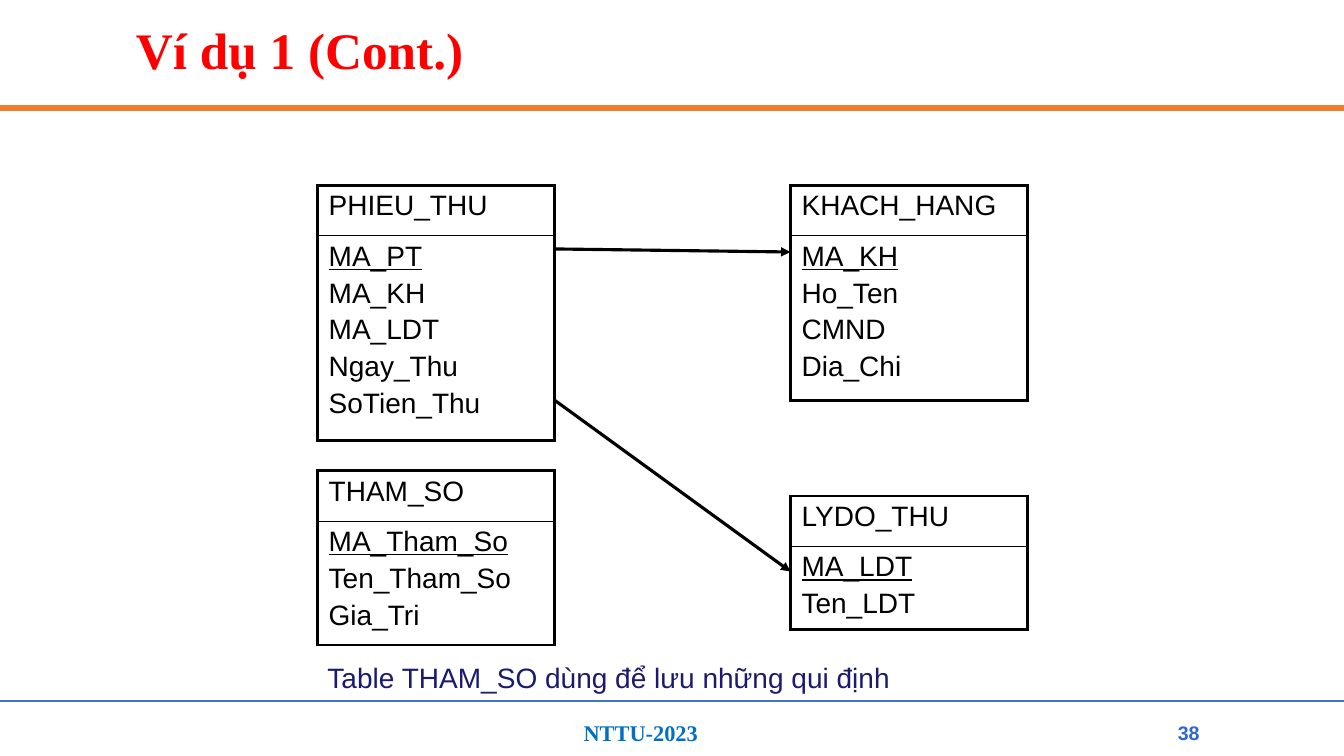
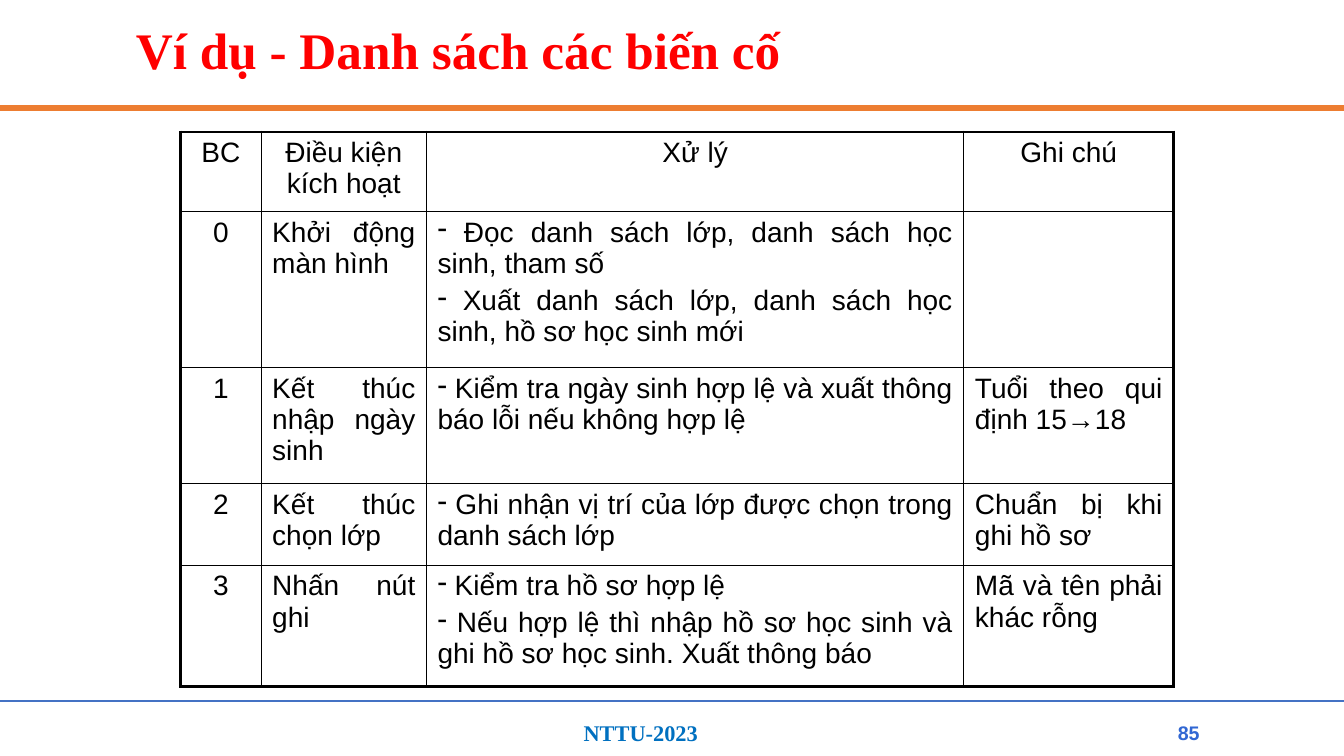
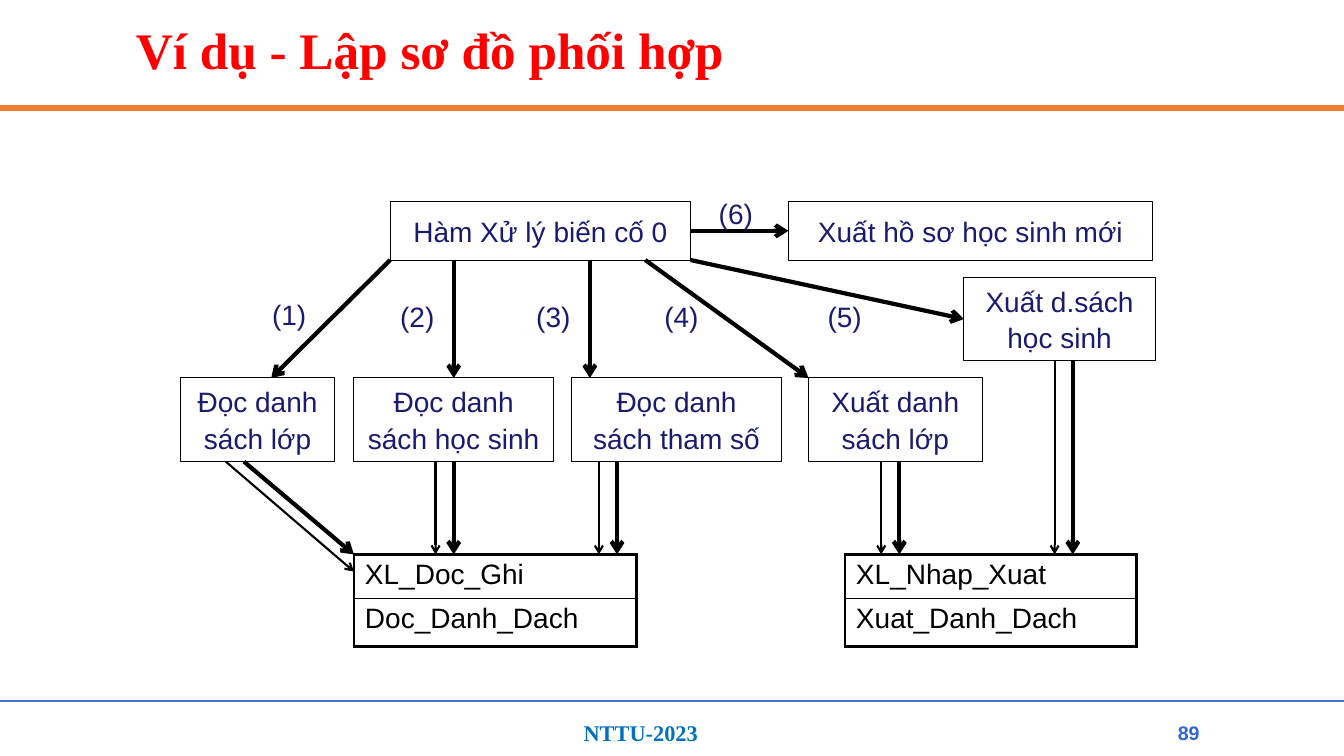
from lxml import etree
from pptx import Presentation
from pptx.dml.color import RGBColor
from pptx.enum.shapes import MSO_CONNECTOR, MSO_SHAPE
from pptx.enum.text import MSO_ANCHOR, PP_ALIGN
from pptx.oxml.ns import qn
from pptx.util import Inches, Pt

LEFT, CENTER, JUSTIFY = PP_ALIGN.LEFT, PP_ALIGN.CENTER, PP_ALIGN.JUSTIFY
TOP, MIDDLE = MSO_ANCHOR.TOP, MSO_ANCHOR.MIDDLE
STRAIGHT, RECT = MSO_CONNECTOR.STRAIGHT, MSO_SHAPE.RECTANGLE
SITE_TOP, SITE_LEFT, SITE_BOTTOM, SITE_RIGHT = range(4)

COLORS = {
    "black": "000000",
    "navy": "1A1A70",
    "title": "FF0000",
    "header": "ED7D31",
    "rule": "4472C4",
    "footer": "0070C0",
    "number": "3167D3",
}
SANS, SERIF = "Arial", "Times New Roman"
WIDTH, HEIGHT = 13.33, 7.5
OUTER, INNER = 2.25, 1
HEAVY, LIGHT = 3, 1.5
PAIR_GAP = 0.18


def rgb(name):
    return RGBColor.from_string(COLORS[name])


# Text
def write(tf, text, size=20, font=SANS, color="black", bold=False, align=LEFT,
          before=0, spacing=None, bullet=None, underline_first=False):
    """Fill a text frame, one paragraph for each line of text."""
    for i, line in enumerate(text.split("\n")):
        p = tf.paragraphs[0] if i == 0 else tf.add_paragraph()
        p.alignment = align
        if i:
            p.space_before = Pt(before)
        if spacing:
            p.line_spacing = spacing
        if bullet:
            pPr = p._p.get_or_add_pPr()
            etree.SubElement(pPr, qn("a:buChar")).set("char", bullet)
            line = " " + line
        r = p.add_run()
        r.text = line
        r.font.size, r.font.name, r.font.bold = Pt(size), font, bold
        r.font.color.rgb = rgb(color)
        r.font.underline = underline_first and i == 0


def add_text(slide, x, y, w, h, text, anchor=TOP, **fmt):
    tf = slide.shapes.add_textbox(Inches(x), Inches(y), Inches(w), Inches(h)).text_frame
    tf.word_wrap = True
    tf.vertical_anchor = anchor
    write(tf, text, **fmt)


# Lines and boxes
def add_line(slide, x1, y1, x2, y2, width, color="black", head=None, begin=None, end=None):
    """Draw a line; begin and end are optional (shape, site) joints."""
    c = slide.shapes.add_connector(STRAIGHT, Inches(x1), Inches(y1), Inches(x2), Inches(y2))
    if begin:
        c.begin_connect(*begin)
    if end:
        c.end_connect(*end)
    c.line.color.rgb = rgb(color)
    c.line.width = Pt(width)
    spPr = c._element.spPr
    if head:
        etree.SubElement(spPr.find(qn("a:ln")), qn("a:tailEnd")).set("type", head)
    etree.SubElement(spPr, qn("a:effectLst"))


def add_box(slide, x, y, w, h, text):
    sp = slide.shapes.add_shape(RECT, Inches(x), Inches(y), Inches(w), Inches(h))
    sp.shadow.inherit = False
    sp.fill.background()
    sp.line.color.rgb = rgb("black")
    sp.line.width = Pt(0.75)
    tf = sp.text_frame
    tf.word_wrap = False
    tf.vertical_anchor = MIDDLE
    write(tf, text, color="navy", align=CENTER, before=2)
    return sp


# Tables
def set_borders(cell, widths):
    tcPr = cell._tc.get_or_add_tcPr()
    for side, width in zip("LRTB", widths):
        ln = etree.SubElement(tcPr, qn("a:ln" + side))
        ln.set("w", str(Pt(width)))
        fill = etree.SubElement(ln, qn("a:solidFill"))
        etree.SubElement(fill, qn("a:srgbClr")).set("val", COLORS["black"])


def add_grid(slide, x, y, cols, rows, texts, cell_format):
    """Add a table with a thick frame; cell_format(row, col) gives text options."""
    frame = slide.shapes.add_table(len(rows), len(cols), Inches(x), Inches(y),
                                   Inches(sum(cols)), Inches(sum(rows)))
    table = frame.table
    table.first_row = table.horz_banding = False
    for column, w in zip(table.columns, cols):
        column.width = Inches(w)
    last_row, last_col = len(rows) - 1, len(cols) - 1
    for i, h in enumerate(rows):
        table.rows[i].height = Inches(h)
        for j, text in enumerate(texts[i]):
            cell = table.cell(i, j)
            cell.margin_left = cell.margin_right = Inches(0.11)
            cell.margin_top = cell.margin_bottom = Inches(0.05)
            at_edge = (j == 0, j == last_col, i == 0, i == last_row)
            set_borders(cell, [OUTER if edge else INNER for edge in at_edge])
            cell.fill.background()
            if text:
                write(cell.text_frame, text, before=4, **cell_format(i, j))


def add_entity(slide, x, y, w, rows, name, members, keyed=True):
    """Add a name row over a list of members, the first one being the key."""
    add_grid(slide, x, y, [w], rows, [[name], [members]],
             lambda i, j: {"underline_first": keyed and i == 1})


# Shared frame of every slide
def new_slide(prs, title, number):
    slide = prs.slides.add_slide(prs.slide_layouts[6])
    add_line(slide, 0, 1.07, WIDTH, 1.07, 4.5, "header")
    add_line(slide, 0, 6.95, WIDTH, 6.95, 1.5, "rule")
    add_text(slide, 1.25, 0.23, 10.83, 0.58, title, anchor=MIDDLE, size=36.6,
             font=SERIF, color="title", bold=True, spacing=0.9)
    add_text(slide, 5.69, 7.09, 1.78, 0.37, "NTTU-2023", size=16, font=SERIF,
             color="footer", bold=True)
    add_text(slide, 11.56, 7.09, 0.46, 0.36, number, anchor=MIDDLE, size=14,
             color="number", bold=True, align=CENTER)
    return slide


# Slides
def build_entities(prs):
    slide = new_slide(prs, "Ví dụ 1 (Cont.)", "38")
    left, right, w, name_h = 3.15, 7.84, 2.35, 0.5
    for x, y, h, name, members in (
        (left, 1.84, 2.03, "PHIEU_THU", "MA_PT\nMA_KH\nMA_LDT\nNgay_Thu\nSoTien_Thu"),
        (right, 1.84, 1.63, "KHACH_HANG", "MA_KH\nHo_Ten\nCMND\nDia_Chi"),
        (right, 4.92, 0.78, "LYDO_THU", "MA_LDT\nTen_LDT"),
        (left, 4.67, 1.23, "THAM_SO", "MA_Tham_So\nTen_Tham_So\nGia_Tri"),
    ):
        add_entity(slide, x, y, w, [name_h, h], name, members)
    for y1, y2 in ((2.47, 2.5), (3.97, 5.67)):
        add_line(slide, left + w, y1, right, y2, 2.25, head="triangle")
    add_text(slide, left, 6.5, 7.67, 0.43, "Table THAM_SO dùng để lưu những qui định",
             color="navy")


def event_format(row, col):
    if row == 0 or col == 0:
        return {"align": CENTER}
    return {"align": JUSTIFY, "bullet": "-" if col == 2 else None}


def build_events(prs):
    slide = new_slide(prs, "Ví dụ - Danh sách các biến cố", "85")
    events = [
        ["BC", "Điều kiện kích hoạt", "Xử lý", "Ghi chú"],
        ["0", "Khởi động màn hình",
         "Đọc danh sách lớp, danh sách học sinh, tham số\n"
         "Xuất danh sách lớp, danh sách học sinh, hồ sơ học sinh mới", ""],
        ["1", "Kết thúc nhập ngày sinh",
         "Kiểm tra ngày sinh hợp lệ và xuất thông báo lỗi nếu không hợp lệ",
         "Tuổi theo qui định 15→18"],
        ["2", "Kết thúc chọn lớp",
         "Ghi nhận vị trí của lớp được chọn trong danh sách lớp",
         "Chuẩn bị khi ghi hồ sơ"],
        ["3", "Nhấn nút ghi",
         "Kiểm tra hồ sơ hợp lệ\n"
         "Nếu hợp lệ thì nhập hồ sơ học sinh và ghi hồ sơ học sinh. Xuất thông báo",
         "Mã và tên phải khác rỗng"],
    ]
    add_grid(slide, 1.79, 1.31, [0.8, 1.64, 5.33, 2.08], [0.79, 1.55, 1.15, 0.81, 1.2],
             events, event_format)


def build_coordination(prs):
    slide = new_slide(prs, "Ví dụ - Lập sơ đồ phối hợp", "89")

    # Function boxes
    main_bottom, box_top, box_h, class_top = 2.58, 3.75, 0.83, 5.5
    box_bottom = box_top + box_h
    handler = add_box(slide, 3.87, 2, 2.98, 0.58, "Hàm Xử lý biến cố 0")
    new_record = add_box(slide, 7.82, 2, 3.61, 0.58, "Xuất hồ sơ học sinh mới")
    student_list = add_box(slide, 9.56, 2.75, 1.9, box_h, "Xuất d.sách\nhọc sinh")
    _, read_students, _, _ = [
        add_box(slide, x, box_top, w, box_h, text) for x, w, text in (
            (1.79, 1.53, "Đọc danh\nsách lớp"),
            (3.51, 1.98, "Đọc danh\nsách học sinh"),
            (5.67, 2.08, "Đọc danh\nsách tham số"),
            (8.02, 1.72, "Xuất danh\nsách lớp"),
        )]

    # Class tables
    for x, w, name, method in ((3.51, 2.8, "XL_Doc_Ghi", "Doc_Danh_Dach"),
                               (8.38, 2.89, "XL_Nhap_Xuat", "Xuat_Danh_Dach")):
        add_entity(slide, x, class_top, w, [0.43, 0.48], name, method, keyed=False)

    # Calls from the event handler
    for x1, y1, x2, y2, begin, end in (
        (3.87, main_bottom, 2.69, box_top, None, None),
        (4.5, main_bottom, 4.5, box_top, None, (read_students, SITE_TOP)),
        (5.85, main_bottom, 5.85, box_top, None, None),
        (6.4, main_bottom, 8.02, box_top, None, None),
        (6.85, main_bottom, 9.56, 3.17, None, (student_list, SITE_LEFT)),
        (6.85, 2.29, 7.82, 2.29, (handler, SITE_RIGHT), (new_record, SITE_LEFT)),
    ):
        add_line(slide, x1, y1, x2, y2, HEAVY, head="arrow", begin=begin, end=end)
    label_spots = ((2.6, 2.9), (3.87, 2.92), (5.22, 2.92), (6.49, 2.92), (8.11, 2.92),
                   (7.03, 1.9))
    for step, (x, y) in enumerate(label_spots, 1):
        add_text(slide, x, y, 0.63, 0.43, f"({step})", color="navy")

    # Paired arrows from the functions to the classes
    for x1, y1, x2, light_end, begin in (
        (2.42, box_bottom, 3.51, (3.51, 5.67), None),
        (4.5, box_bottom, 4.5, None, (read_students, SITE_BOTTOM)),
        (6.12, box_bottom, 6.12, None, None),
        (8.92, box_bottom, 8.92, None, None),
        (10.64, 3.58, 10.64, None, None),
    ):
        light_x, light_y = light_end or (x2 - PAIR_GAP, class_top)
        add_line(slide, x1, y1, x2, class_top, HEAVY, head="arrow", begin=begin)
        add_line(slide, x1 - PAIR_GAP, y1, light_x, light_y, LIGHT, head="arrow")


def main():
    prs = Presentation()
    prs.slide_width, prs.slide_height = Inches(WIDTH), Inches(HEIGHT)
    build_entities(prs)
    build_events(prs)
    build_coordination(prs)
    prs.save("out.pptx")


if __name__ == "__main__":
    main()
